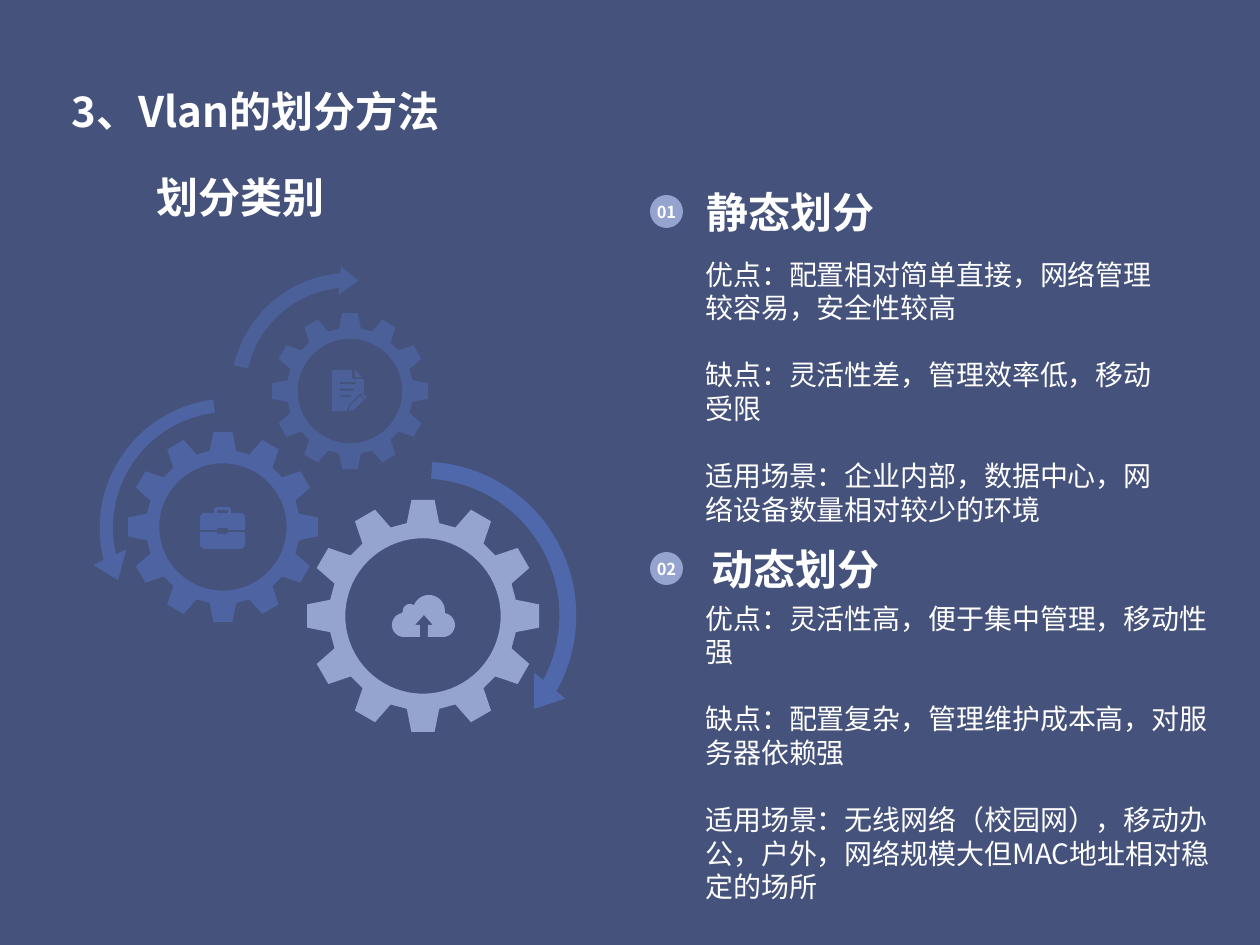
from math import cos, radians, sin

from lxml.etree import SubElement
from pptx import Presentation
from pptx.dml.color import RGBColor
from pptx.enum.shapes import MSO_SHAPE as Kind
from pptx.enum.text import MSO_ANCHOR as Anchor, MSO_AUTO_SIZE as Fit, PP_ALIGN as Align
from pptx.oxml.ns import qn
from pptx.util import Pt

SCALE = 914400 / 126
FINE = 100
FONT = "Noto Sans CJK SC"
NAVY = RGBColor(0x45, 0x52, 0x7B)
BLUE = RGBColor(0x4F, 0x68, 0xAC)
PALE = RGBColor(0x95, 0xA4, 0xCE)
WHITE = RGBColor(0xFF, 0xFF, 0xFF)

STATIC = [
    "优点：配置相对简单直接，网络管理较容易，安全性较高",
    "缺点：灵活性差，管理效率低，移动受限",
    "适用场景：企业内部，数据中心，网络设备数量相对较少的环境",
]
DYNAMIC = [
    "优点：灵活性高，便于集中管理，移动性强",
    "缺点：配置复杂，管理维护成本高，对服务器依赖强",
    "适用场景：无线网络（校园网），移动办公，户外，网络规模大但MAC地址相对稳定的场所",
]


def px(n):
    return round(n * SCALE)


def place(box):
    return [px(n) for n in box]


def paint(shape, color, alpha=100):
    shape.shadow.inherit = False
    shape.line.fill.background()
    shape.fill.solid()
    shape.fill.fore_color.rgb = color
    if alpha < 100:
        tone = shape._element.spPr.find(qn("a:solidFill"))[0]
        SubElement(tone, qn("a:alpha"), val=str(alpha * 1000))


def write(shape, lines, size, bold=False, align=Align.LEFT, anchor=Anchor.TOP, inset=None):
    frame = shape.text_frame
    frame.word_wrap = True
    frame.auto_size = Fit.NONE
    frame.vertical_anchor = anchor
    if inset is not None:
        frame.margin_left = frame.margin_right = inset
        frame.margin_top = frame.margin_bottom = inset
    frame.text = "\n".join(lines)
    for i, para in enumerate(frame.paragraphs):
        para.alignment = align
        para.line_spacing = Pt(size * 1.2)
        para.space_before = Pt(size * 1.2 if i else 0)
        font = para.font
        font.size = Pt(size)
        font.bold = bold
        font.color.rgb = WHITE
        font.name = FONT
        SubElement(font._element, qn("a:ea"), typeface=FONT)


def label(slide, box, lines, size, **style):
    write(slide.shapes.add_textbox(*place(box)), lines, size, **style)


def arc(x, y, r, start, end, step=10):
    turns = [radians(a) for a in range(start, end + 1, step)]
    return [(x + r * cos(t), y + r * sin(t)) for t in turns]


def rect(x, y, w, h):
    return [(x, y), (x + w, y), (x + w, y + h), (x, y + h)]


def draw(slide, x, y, rings, color, alpha=100):
    rings = [[((x + a) * FINE, (y + b) * FINE) for a, b in ring] for ring in rings]
    pen = slide.shapes.build_freeform(*rings[0][0], scale=SCALE / FINE)
    for i, ring in enumerate(rings):
        if i:
            pen.move_to(*ring[0])
        pen.add_line_segments(ring[1:], close=True)
    paint(pen.convert_to_shape(), color, alpha)


def gear(slide, x, y, r, color, alpha=100):
    tooth = [(-0.14, 0.8), (-0.1, 1), (0.1, 1), (0.14, 0.8)]
    rim = []
    for turn in range(0, 360, 30):
        c, s = cos(radians(turn)), sin(radians(turn))
        rim += [(r * (d * c - h * s), r * (d * s + h * c)) for d, h in tooth[::-1]]
    hole = arc(0, 0, r * 0.67, 0, 355, 5)
    draw(slide, x, y, [rim, hole], color, alpha)


def sweep(slide, box, bends, alpha=100, flip=False):
    shape = slide.shapes.add_shape(Kind.CIRCULAR_ARROW, *place(box))
    for i, bend in enumerate(bends):
        shape.adjustments[i] = bend
    if flip:
        shape._element.spPr.xfrm.set("flipH", "1")
    paint(shape, BLUE, alpha)


def cloud(slide, x, y):
    arrow = [(36, 42), (36, 30), (41, 30), (32, 20), (23, 30), (28, 30), (28, 42)]
    edge = (arc(51, 30, 12, -80, 90) + arrow + arc(12, 30, 12, 90, 260)
            + arc(18, 16, 7, 180, 300) + arc(37, 16, 16, 200, 370))
    draw(slide, x, y, [edge], PALE)


def paper(slide, x, y, alpha):
    page = [(0, 0), (20, 0), (20, 8), (22, 9), (32, 9), (32, 23),
            (28, 24), (17, 35), (15, 41), (0, 41)]
    fold = [(23, 0), (30, 7), (23, 7)]
    rules = [rect(8, 12 + 6.5 * i, w, 2) for i, w in enumerate((16, 14, 11))]
    pen = [(28, 26), (32, 30), (22, 40), (17, 41), (18, 36)]
    tip = [(29, 25), (32, 24), (35, 27), (33, 29)]
    draw(slide, x, y, [page, fold, *rules, pen, tip], BLUE, alpha)


def case(slide, x, y, alpha):
    lid = [(0, 23), (0, 9), (3, 6), (14, 6), (14, 2), (16, 0), (29, 0), (31, 2),
           (31, 6), (42, 6), (45, 9), (45, 23), (28, 23), (28, 21), (17, 21), (17, 23)]
    base = [(0, 25), (17, 25), (18, 27), (27, 27), (28, 25), (45, 25),
            (45, 39), (42, 42), (3, 42), (0, 39)]
    draw(slide, x, y, [lid, rect(17, 3, 11, 3), base], BLUE, alpha)


def gears(slide, x, y):
    gear(slide, x + 330, y + 350, 116, PALE)
    sweep(slide, (x + 131, y, 251, 251), (0.058, 5.8, 158.949, 115.627, 0.057), 60)
    gear(slide, x + 257, y + 125, 78, BLUE, 60)
    gear(slide, x + 130, y + 261, 95, BLUE, 80)
    sweep(slide, (x - 5, y + 121, 282, 282), (0.047, 6.881, 8.245, 166.167, 0.065), 80, True)
    sweep(slide, (x + 164, y + 184, 331, 331), (0.051, 6.704, 17.314, 164.172, 0.061))
    cloud(slide, x + 299, y + 329)
    paper(slide, x + 239, y + 104, 60)
    case(slide, x + 107, y + 241, 80)


def section(slide, x, y, mark, head, lines, indent, drop, width):
    label(slide, (x + indent, y - 58, 480, 100), [head], 24,
          bold=True, anchor=Anchor.BOTTOM, inset=0)
    dot = slide.shapes.add_shape(Kind.OVAL, *place((x, y, 33, 33)))
    paint(dot, PALE)
    write(dot, [mark], 9.4, bold=True, align=Align.CENTER, anchor=Anchor.MIDDLE, inset=0)
    label(slide, (x + 43, y + drop, width, 280), lines, 16)


def heading(slide, x, y):
    title = slide.shapes.title
    title.left, title.top, title.width, title.height = place((x, y, 1116, 74))
    write(title, ["3、Vlan的划分方法"], 24, bold=True, anchor=Anchor.BOTTOM, inset=0)
    label(slide, (x + 72, y + 103, 420, 63), ["划分类别"], 24, bold=True)


def main():
    deck = Presentation()
    deck.slide_width, deck.slide_height = px(1260), px(945)
    slide = deck.slides.add_slide(deck.slide_layouts[5])
    slide.background.fill.solid()
    slide.background.fill.fore_color.rgb = NAVY
    gears(slide, 93, 266)
    section(slide, 650, 195, "01", "静态划分", STATIC, 57, 56, 491)
    section(slide, 650, 552, "02", "动态划分", DYNAMIC, 62, 43, 546)
    heading(slide, 72, 62)
    deck.save("out.pptx")


if __name__ == "__main__":
    main()
